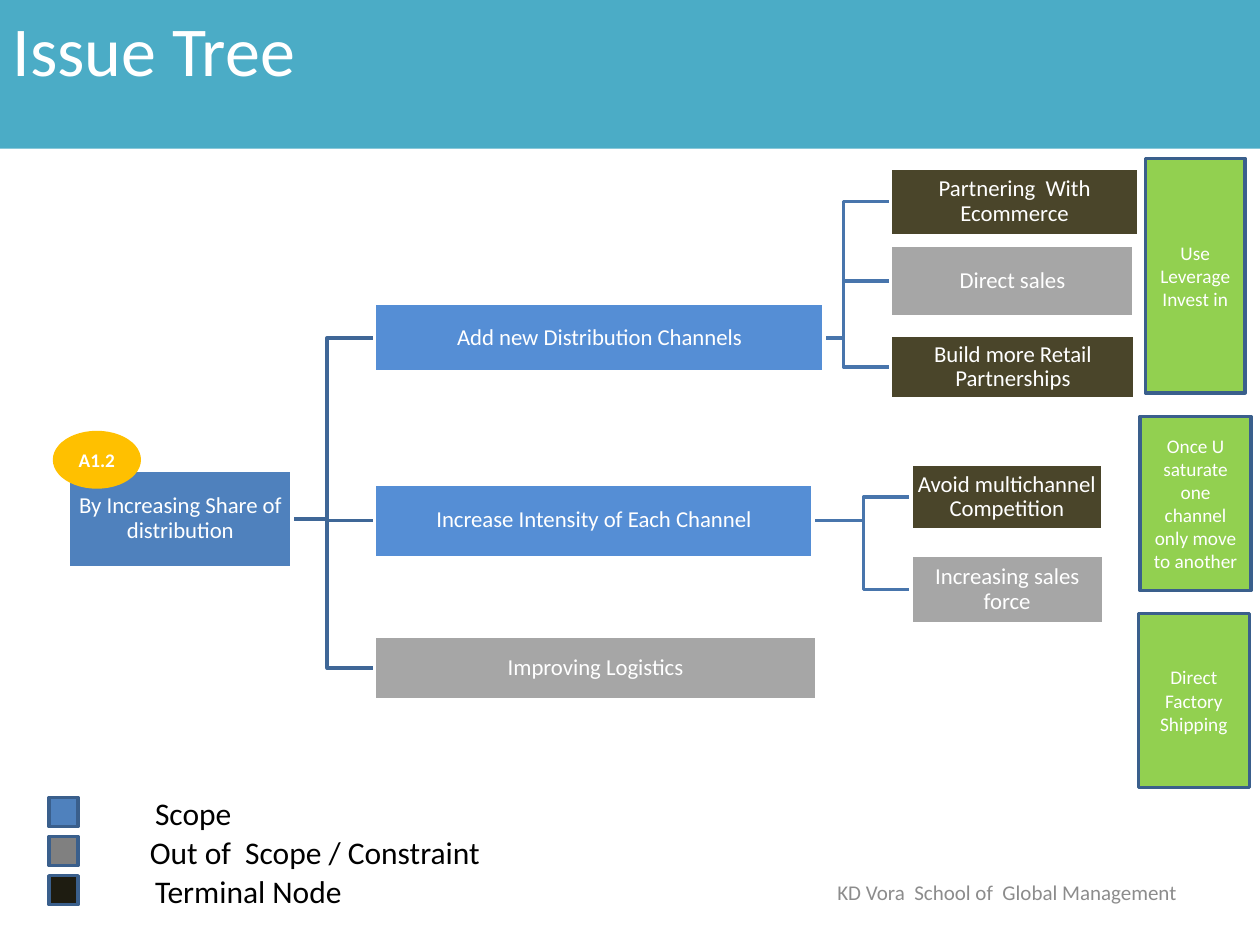
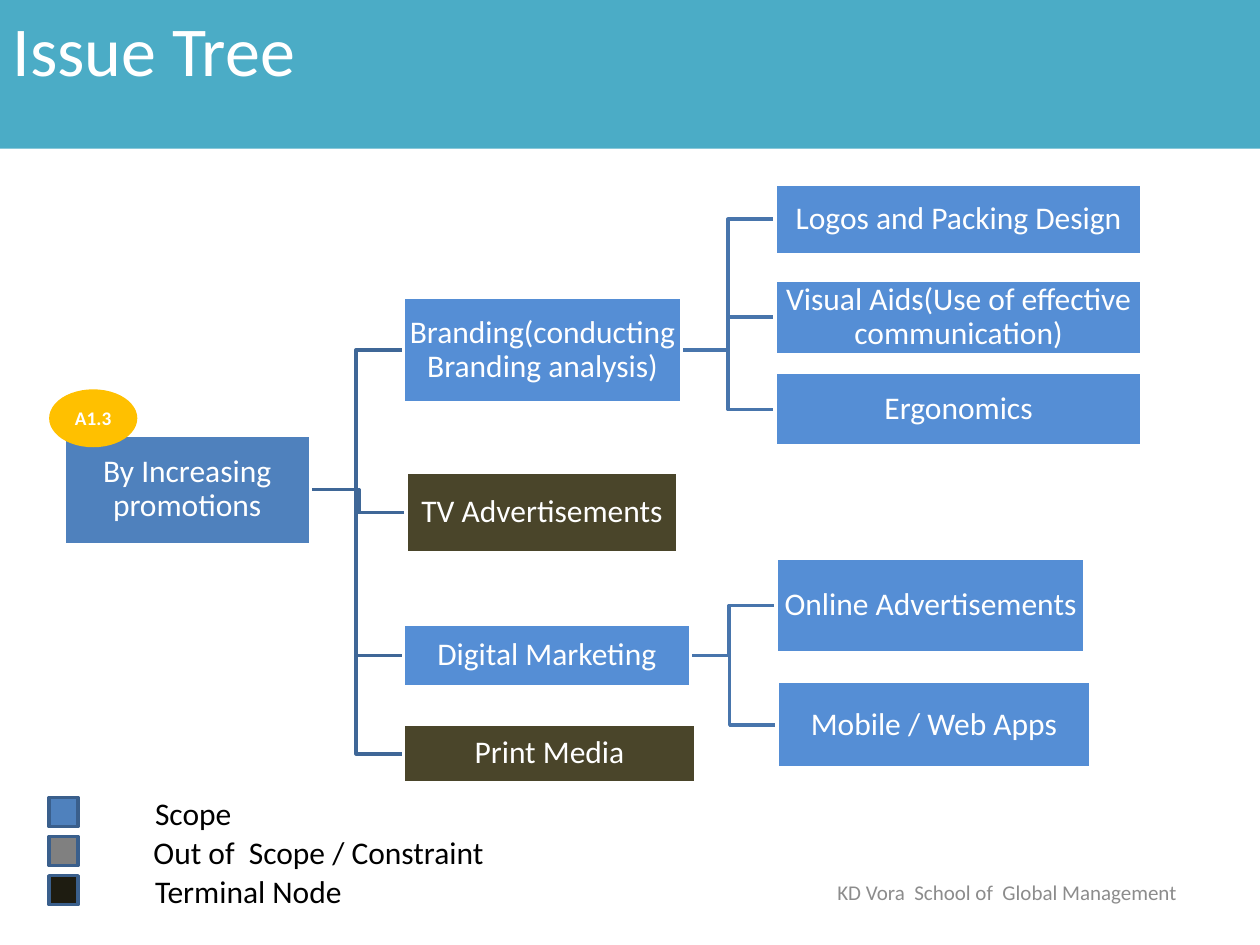
from dataclasses import dataclass

from pptx import Presentation
from pptx.dml.color import RGBColor as RGB
from pptx.enum.shapes import MSO_SHAPE as SHAPE
from pptx.enum.text import MSO_ANCHOR as ANCHOR, MSO_AUTO_SIZE as AUTO, PP_ALIGN as ALIGN
from pptx.util import Pt


@dataclass(frozen=True)
class Theme:
    font: str = "Calibri"
    band: str = "4BACC6"
    root: str = "4F81BD"
    scope: str = "558ED5"
    out: str = "A6A6A6"
    terminal: str = "4A452A"
    key_out: str = "808080"
    key_terminal: str = "1E1C11"
    badge: str = "FFC000"
    note: str = "92D050"
    border: str = "3A5F8C"
    root_link: str = "3F6797"
    link: str = "4875AC"
    white: str = "FFFFFF"
    black: str = "000000"
    footer: str = "8C8C8C"
    title_size: int = 40
    legend_size: int = 18
    footer_size: int = 12
    small_size: int = 11
    line: int = 2


T = Theme()
ELBOW = 27

SLIDES = [
    {
        "badge": ("A1.2", 30.2, 246.2),
        "size": 13,
        "out_label_x": 78.5,
        "nodes": [
            ("By Increasing Share of distribution", T.root, None, 39, 268.5, 128, 56),
            ("Add new Distribution Channels", T.scope, 0, 214, 173.5, 257, 39),
            ("Increase Intensity of Each Channel", T.scope, 0, 214, 276.5, 250.5, 42),
            ("Improving Logistics", T.out, 0, 214, 363.5, 252.5, 36.5),
            ("Partnering  With Ecommerce", T.terminal, 1, 509, 96, 141.5, 38.5),
            ("Direct sales", T.out, 1, 509, 140, 139, 41),
            ("Build more Retail Partnerships", T.terminal, 1, 509, 191.5, 139.5, 36.5),
            ("Avoid multichannel Competition", T.terminal, 2, 520.5, 265, 109.5, 38),
            ("Increasing sales force", T.out, 2, 520.5, 317.5, 110, 39),
        ],
        "notes": [
            ("Use\nLeverage\nInvest in", 654.5, 90.5, 57, 134),
            ("Once U saturate one channel only move to another", 651.5, 238, 63.5, 99.5),
            ("Direct Factory Shipping", 650.5, 350.5, 63.5, 99.5),
        ],
    },
    {
        "badge": ("A1.3", 28.1, 222.5),
        "size": 18,
        "out_label_x": 80.6,
        "nodes": [
            ("By Increasing promotions", T.root, None, 36.5, 248.5, 141, 62.5),
            ("Branding(conducting Branding analysis)", T.scope, 0, 230.5, 170, 159, 60),
            ("TV Advertisements", T.terminal, 0, 232, 270, 155.5, 46),
            ("Digital Marketing", T.scope, 0, 230.5, 356.5, 164, 36),
            ("Print Media", T.terminal, 0, 230.5, 414, 167, 33.5),
            ("Logos and Packing Design", T.scope, 1, 443, 105, 209.5, 40.5),
            ("Visual Aids(Use of effective communication)", T.scope, 1, 443, 160, 209.5, 42.5),
            ("Ergonomics", T.scope, 1, 443, 213, 209.5, 42),
            ("Online Advertisements", T.scope, 3, 443.5, 319, 176.5, 54),
            ("Mobile / Web Apps", T.scope, 3, 444, 389.5, 179.5, 49.5),
        ],
        "notes": [],
    },
]


def write(sp, text, size, color, align=ALIGN.CENTER, anchor=ANCHOR.MIDDLE):
    tf = sp.text_frame
    tf.text = text
    tf.word_wrap = True
    tf.auto_size = AUTO.NONE
    tf.vertical_anchor = anchor
    for p in tf.paragraphs:
        p.alignment = align
        for r in p.runs:
            r.font.name = T.font
            r.font.size = Pt(size)
            r.font.color.rgb = RGB.from_string(color)
    return tf


def add_box(s, kind, fill, border, x, y, w, h):
    sp = s.shapes.add_shape(kind, Pt(x), Pt(y), Pt(w), Pt(h))
    sp.shadow.inherit = False
    sp.fill.solid()
    sp.fill.fore_color.rgb = RGB.from_string(fill)
    if border:
        sp.line.color.rgb = RGB.from_string(border)
        sp.line.width = Pt(T.line)
    else:
        sp.line.fill.background()
    return sp


prs = Presentation()
prs.slide_width, prs.slide_height = Pt(720), Pt(540)

for data in SLIDES:
    s = prs.slides.add_slide(prs.slide_layouts[5])

    title = s.shapes.title
    title.left, title.top, title.width, title.height = Pt(0), Pt(0), Pt(720), Pt(85)
    title.fill.solid()
    title.fill.fore_color.rgb = RGB.from_string(T.band)
    write(title, "Issue Tree", T.title_size, T.white, ALIGN.LEFT, ANCHOR.TOP)

    nodes = data["nodes"]
    for text, fill, parent, x, y, w, h in nodes:
        if parent is None:
            continue
        px, py, pw, ph = nodes[parent][3:]
        start, end = py + ph / 2, y + h / 2
        fb = s.shapes.build_freeform(Pt(px + pw), Pt(start))
        bend = Pt(x - ELBOW)
        fb.add_line_segments([(bend, Pt(start)), (bend, Pt(end)), (Pt(x), Pt(end))], close=False)
        sp = fb.convert_to_shape()
        sp.shadow.inherit = False
        sp.fill.background()
        sp.line.color.rgb = RGB.from_string(T.link if parent else T.root_link)
        sp.line.width = Pt(T.line)

    for text, fill, parent, *place in nodes:
        kind = SHAPE.FLOWCHART_PROCESS if parent is None else SHAPE.RECTANGLE
        sp = add_box(s, kind, fill, T.white, *place)
        tf = write(sp, text, data["size"], T.white)
        tf.margin_left = tf.margin_right = tf.margin_top = tf.margin_bottom = Pt(0.7)
        tf.paragraphs[0].line_spacing = 0.9

    text, x, y = data["badge"]
    sp = add_box(s, SHAPE.OVAL, T.badge, None, x, y, 50.4, 33.1)
    tf = write(sp, text, T.small_size, T.white)
    tf.word_wrap = False
    tf.paragraphs[0].runs[0].font.bold = True

    legend = [
        ("Scope", T.root, 81.5),
        ("Out of  Scope / Constraint", T.key_out, data["out_label_x"]),
        ("Terminal Node", T.key_terminal, 81.5),
    ]
    for i, (text, fill, x) in enumerate(legend):
        add_box(s, SHAPE.RECTANGLE, fill, T.border, 28, 455.8 + 22.3 * i, 16.6, 16.6)
        tb = s.shapes.add_textbox(Pt(x), Pt(450 + 22.5 * i), Pt(206), Pt(29))
        write(tb, text, T.legend_size, T.black, ALIGN.LEFT, ANCHOR.TOP)

    tb = s.shapes.add_textbox(Pt(461.5), Pt(495.5), Pt(228), Pt(29))
    write(tb, "KD Vora  School of  Global Management", T.footer_size, T.footer)

    for text, *place in data["notes"]:
        sp = add_box(s, SHAPE.RECTANGLE, T.note, T.border, *place)
        write(sp, text, T.small_size, T.white)

prs.save("out.pptx")
